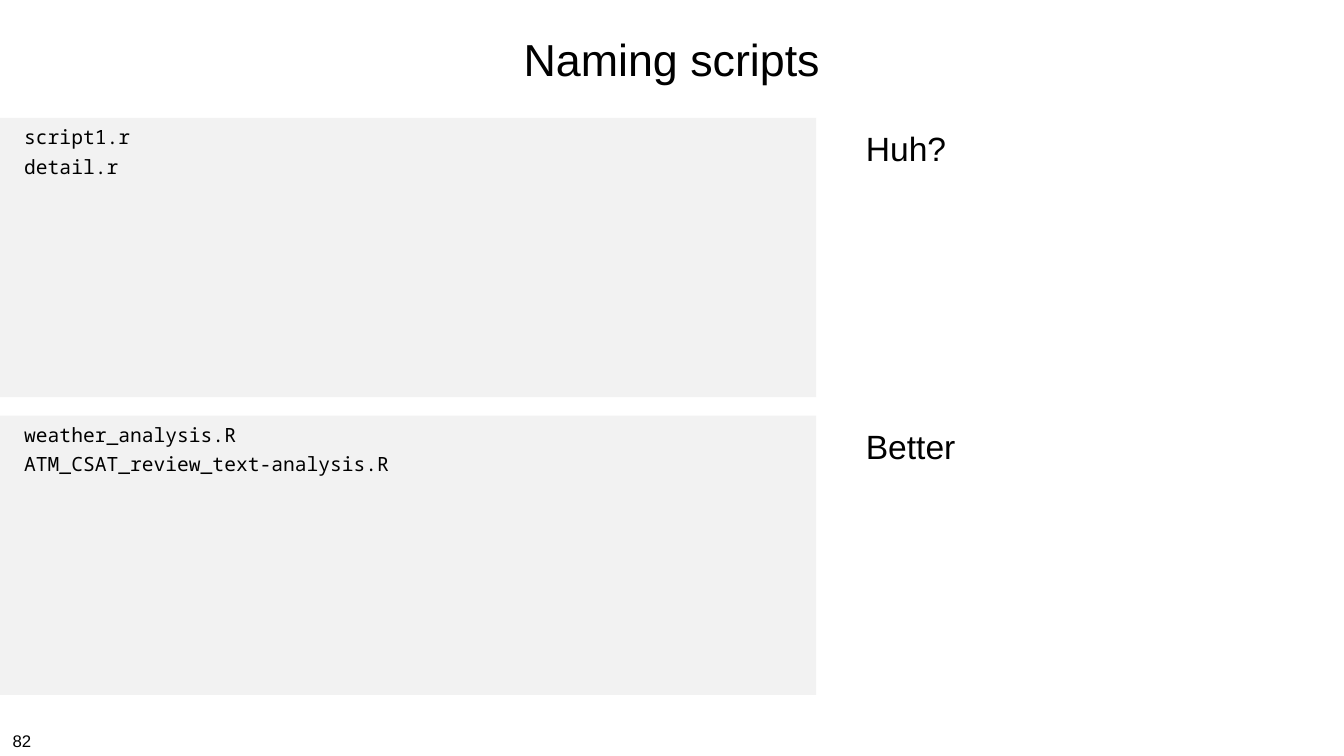
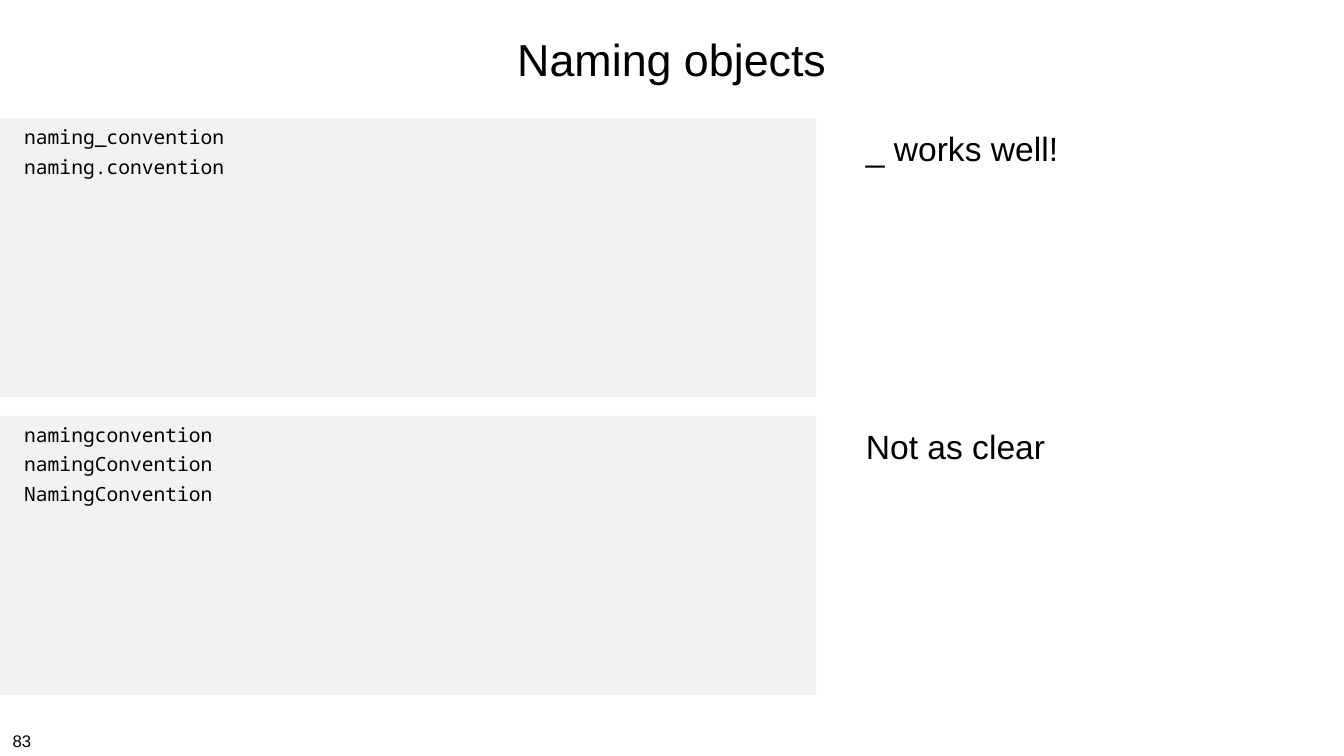
from dataclasses import dataclass

from lxml.etree import SubElement
from pptx import Presentation
from pptx.dml.color import RGBColor
from pptx.enum.text import MSO_ANCHOR, MSO_AUTO_SIZE, PP_ALIGN
from pptx.oxml.ns import qn
from pptx.util import Cm, Pt

COLORS = {"text": "000000", "code": "F2F2F2"}
SANS, MONO = "Arial", "Noto Sans Mono"
INSET = Cm(0.25)
INDENT = Cm(0.36)
ROW_TOP, ROW_PITCH, ROW_HEIGHT = 2.97, 7.5, 7.04
CODE_WIDTH = 20.57
LABEL_LEFT, LABEL_WIDTH = 21.21, 12.37
COMPARISON_LAYOUT = 4


@dataclass
class Example:
    lines: list[str]
    label: str


@dataclass
class NamingSlide:
    number: int
    title: str
    examples: list[Example]


SLIDES = [
    NamingSlide(82, "Naming scripts", [
        Example(["script1.r", "detail.r"], "Huh?"),
        Example(["weather_analysis.R", "ATM_CSAT_review_text-analysis.R"], "Better"),
    ]),
    NamingSlide(83, "Naming objects", [
        Example(["naming_convention", "naming.convention"], "_ works well!"),
        Example(["namingconvention", "namingConvention", "NamingConvention"], "Not as clear"),
    ]),
]


def place(sp, left: float, top: float, width: float, height: float) -> None:
    sp.left, sp.top, sp.width, sp.height = Cm(left), Cm(top), Cm(width), Cm(height)


def write(sp, lines: list[str], *, size: int, font: str = SANS, align=PP_ALIGN.LEFT,
          anchor=MSO_ANCHOR.TOP, gap: int = 0, spacing: float = 1.0,
          indented: bool = False, wrap: bool = True) -> None:
    tf = sp.text_frame
    tf.word_wrap = wrap
    tf.auto_size = MSO_AUTO_SIZE.NONE
    tf.vertical_anchor = anchor
    tf.margin_left = tf.margin_right = tf.margin_top = tf.margin_bottom = INSET
    for i, line in enumerate(lines):
        p = tf.paragraphs[0] if i == 0 else tf.add_paragraph()
        if indented:
            pPr = p._p.get_or_add_pPr()
            pPr.set("marL", str(INDENT))
            pPr.set("indent", "0")
            SubElement(pPr, qn("a:buNone"))
        p.alignment = align
        p.line_spacing = spacing
        p.space_before = Pt(gap if i else 0)
        r = p.add_run()
        r.text = line
        r.font.name = font
        r.font.size = Pt(size)
        r.font.bold = False
        r.font.color.rgb = RGBColor.from_string(COLORS["text"])


def add_example(label, code, example: Example, row: int) -> None:
    top = ROW_TOP + row * ROW_PITCH
    place(label, LABEL_LEFT, top, LABEL_WIDTH, ROW_HEIGHT)
    write(label, [example.label], size=24, indented=True)
    place(code, 0, top, CODE_WIDTH, ROW_HEIGHT)
    code.fill.solid()
    code.fill.fore_color.rgb = RGBColor.from_string(COLORS["code"])
    write(code, example.lines, size=14, font=MONO, gap=6, spacing=0.9, indented=True)


def add_slide(prs, content: NamingSlide) -> None:
    s = prs.slides.add_slide(prs.slide_layouts[COMPARISON_LAYOUT])
    title, *bodies = s.placeholders
    place(title, 2.54, 0.2, 28.78, 2.54)
    write(title, [content.title], size=32, align=PP_ALIGN.CENTER, anchor=MSO_ANCHOR.MIDDLE)
    for row, example in enumerate(content.examples):
        add_example(bodies[2 * row], bodies[2 * row + 1], example, row)
    number = s.shapes.add_textbox(Cm(0), Cm(18.29), Cm(1.04), Cm(0.76))
    write(number, [str(content.number)], size=12, align=PP_ALIGN.RIGHT,
          anchor=MSO_ANCHOR.MIDDLE, wrap=False)


def main() -> None:
    prs = Presentation()
    prs.slide_width, prs.slide_height = Cm(33.87), Cm(19.05)
    for content in SLIDES:
        add_slide(prs, content)
    prs.save("out.pptx")


if __name__ == "__main__":
    main()
